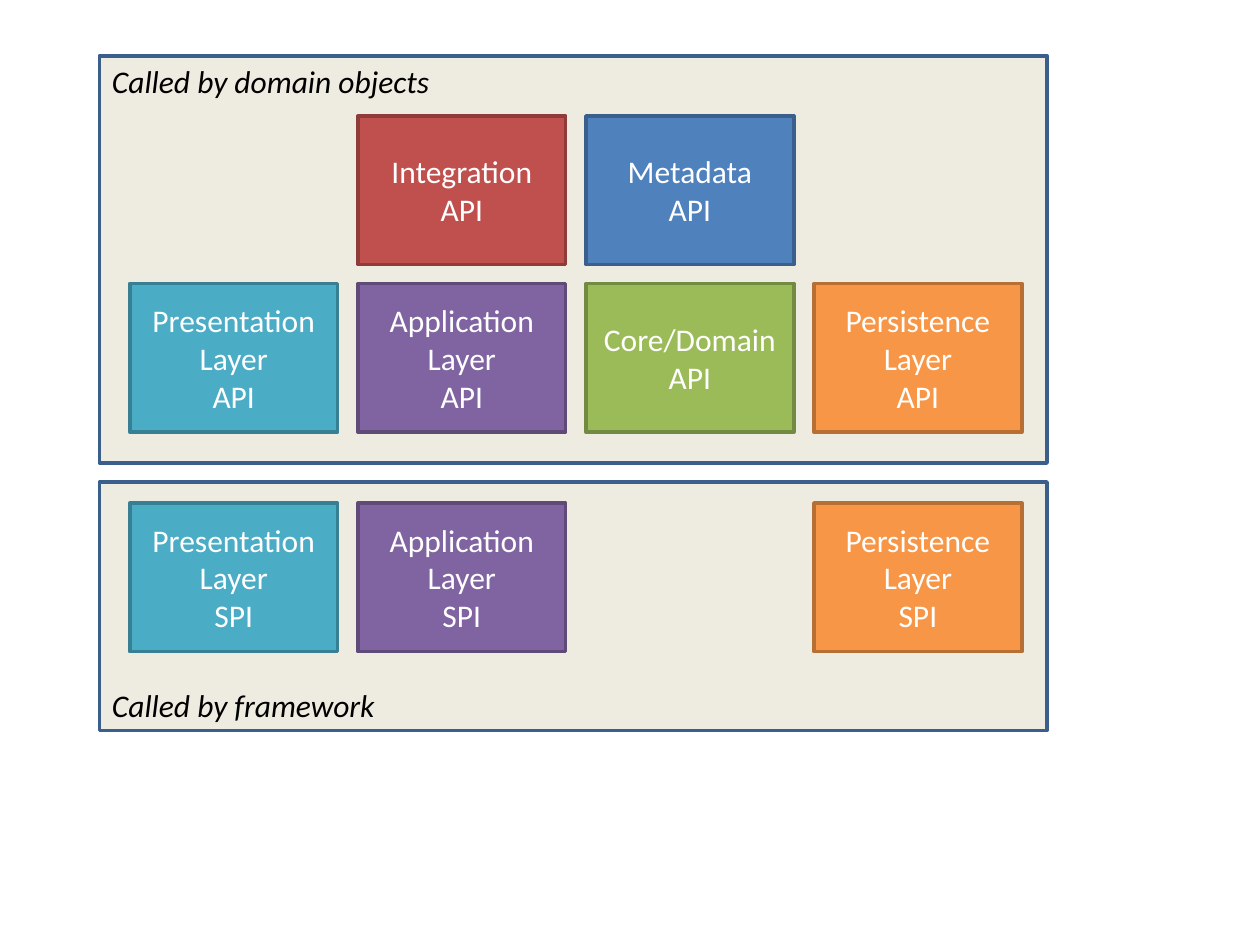
"""Build a slide of API and SPI boxes in two panels."""
from typing import NamedTuple

from pptx import Presentation
from pptx.dml.color import RGBColor
from pptx.enum.shapes import MSO_SHAPE
from pptx.enum.text import MSO_ANCHOR, PP_ALIGN
from pptx.util import Inches, Pt

WIDE, HIGH = 10, 7.5
LEFT, TOP = 1.03, 0.92
STEP, RISE = 1.81, 1.33
BOX_W, BOX_H = 1.65, 1.18
LOW = 2.31

BLACK = RGBColor(0x00, 0x00, 0x00)
WHITE = RGBColor(0xFF, 0xFF, 0xFF)


class Tone(NamedTuple):
    """Fill and edge colours."""
    fill: RGBColor
    edge: RGBColor


CREAM = Tone(RGBColor(0xEE, 0xEC, 0xE1), RGBColor(0x3A, 0x5F, 0x8C))
TEAL = Tone(RGBColor(0x4B, 0xAC, 0xC6), RGBColor(0x37, 0x7F, 0x92))
PURPLE = Tone(RGBColor(0x80, 0x64, 0xA2), RGBColor(0x5F, 0x4A, 0x78))
GREEN = Tone(RGBColor(0x9B, 0xBB, 0x59), RGBColor(0x73, 0x8A, 0x42))
ORANGE = Tone(RGBColor(0xF7, 0x96, 0x46), RGBColor(0xB7, 0x6F, 0x34))
RED = Tone(RGBColor(0xC0, 0x50, 0x4D), RGBColor(0x8E, 0x3B, 0x39))
BLUE = Tone(RGBColor(0x4F, 0x81, 0xBD), RGBColor(0x3A, 0x5F, 0x8C))


class Panel(NamedTuple):
    """Backdrop with its top and height as shares of the slide."""
    text: str
    top: float
    high: float
    anchor: MSO_ANCHOR


class Box(NamedTuple):
    """Coloured box at a grid column and row."""
    text: str
    col: int
    row: float
    tone: Tone


PANELS = [
    Panel("Called by framework", 0.51, 0.263, MSO_ANCHOR.BOTTOM),
    Panel("Called by domain objects", 0.059, 0.431, MSO_ANCHOR.TOP),
]
LAYERS = [("Presentation", 0, TEAL), ("Application", 1, PURPLE), ("Persistence", 3, ORANGE)]
BOXES = [
    Box("Integration\vAPI", 1, 0, RED),
    Box("Metadata\vAPI", 2, 0, BLUE),
    Box("Core/Domain\nAPI", 2, 1, GREEN),
] + [
    Box(f"{name}\vLayer\n{kind}", col, row, tone)
    for kind, row in (("API", 1), ("SPI", LOW))
    for name, col, tone in LAYERS
]


def draw(slide, area: tuple, text: str, tone: Tone, anchor: MSO_ANCHOR,
         align: PP_ALIGN, style: dict) -> None:
    """Draw one labelled rectangle."""
    shape = slide.shapes.add_shape(MSO_SHAPE.RECTANGLE, *map(Inches, area))
    shape.shadow.inherit = False
    shape.fill.solid()
    shape.fill.fore_color.rgb = tone.fill
    shape.line.color.rgb = tone.edge
    shape.line.width = Pt(2)
    frame = shape.text_frame
    frame.text = text
    frame.word_wrap = True
    frame.vertical_anchor = anchor
    form = {"name": "Calibri", "size": Pt(18), "italic": style["italic"]}
    for para in frame.paragraphs:
        para.alignment = align
        for run in para.runs:
            for key, value in form.items():
                setattr(run.font, key, value)
            run.font.color.rgb = style["color"]


def main() -> None:
    """Build and save the deck."""
    deck = Presentation()
    deck.slide_width, deck.slide_height = Inches(WIDE), Inches(HIGH)
    slide = deck.slides.add_slide(deck.slide_layouts[6])
    for item in PANELS:
        area = (0.079 * WIDE, item.top * HIGH, 0.752 * WIDE, item.high * HIGH)
        draw(slide, area, item.text, CREAM, item.anchor, PP_ALIGN.LEFT,
             {"italic": True, "color": BLACK})
    for item in BOXES:
        area = (LEFT + item.col * STEP, TOP + item.row * RISE, BOX_W, BOX_H)
        draw(slide, area, item.text, item.tone, MSO_ANCHOR.MIDDLE, PP_ALIGN.CENTER,
             {"italic": False, "color": WHITE})
    deck.save("out.pptx")


if __name__ == "__main__":
    main()
